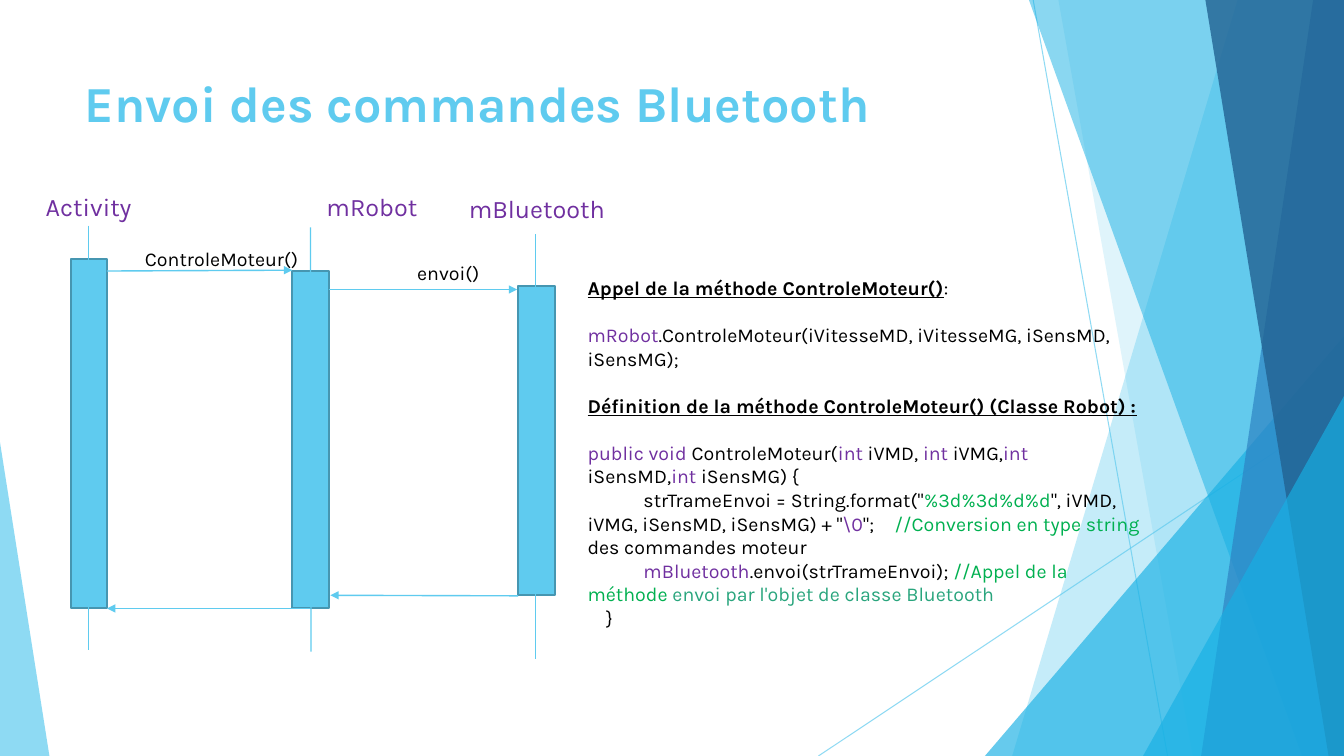
from dataclasses import dataclass

from lxml import etree
from pptx import Presentation
from pptx.dml.color import RGBColor
from pptx.enum import shapes, text
from pptx.oxml.ns import qn
from pptx.util import Pt


@dataclass(frozen=True)
class Theme:
    font: str = "Karla"
    sky: str = "5FCBEF"
    cyan: str = "17B0E4"
    blue: str = "2E83C3"
    navy: str = "226292"
    bar_edge: str = "4696B1"
    black: str = "000000"
    purple: str = "7030A0"
    green: str = "00B050"
    teal: str = "29A57D"
    title_size: int = 36
    object_size: int = 18
    body_size: int = 14


theme = Theme()
WIDTH, HEIGHT = 960, 540


def paint(shape, fill, colour, opacity=100):
    """Give a fill of the shape a solid colour; opacity is in percent."""
    fill.solid()
    fill.fore_color.rgb = RGBColor.from_string(colour)
    if opacity < 100:
        colour_element = next(shape.element.iter(qn("a:srgbClr")))
        etree.SubElement(colour_element, qn("a:alpha"), val=str(opacity * 1000))


def add_run(paragraph, words, colour, size, **extra):
    run = paragraph.add_run()
    run.text = words
    run.font.color.rgb = RGBColor.from_string(colour)
    for name, value in {"name": theme.font, "size": Pt(size), **extra}.items():
        setattr(run.font, name, value)


presentation = Presentation()
presentation.slide_width, presentation.slide_height = Pt(WIDTH), Pt(HEIGHT)
slide = presentation.slides.add_slide(presentation.slide_layouts[5])

# Title
title = slide.shapes.title
title.left, title.top, title.width, title.height = Pt(53.3), Pt(48), Pt(676.8), Pt(103.7)
title_format = {
    "word_wrap": True,
    "auto_size": text.MSO_AUTO_SIZE.NONE,
    "vertical_anchor": text.MSO_ANCHOR.TOP,
}
for name, value in title_format.items():
    setattr(title.text_frame, name, value)
title_paragraph = title.text_frame.paragraphs[0]
title_paragraph.alignment = text.PP_ALIGN.LEFT
add_run(title_paragraph, "Envoi des commandes Bluetooth", theme.sky, theme.title_size, bold=True)

# Activation bars of the sequence diagram: left, top, bottom
BAR_WIDTH = 26
bars = []
for left, top, bottom in [(50.4, 185, 434.6), (208.8, 193.5, 434.6), (370.2, 204, 425)]:
    bar = slide.shapes.add_shape(
        shapes.MSO_SHAPE.RECTANGLE, Pt(left), Pt(top), Pt(BAR_WIDTH), Pt(bottom - top))
    bar.shadow.inherit = False
    paint(bar, bar.fill, theme.sky)
    paint(bar, bar.line.fill, theme.bar_edge)
    bar.line.width = Pt(1.5)
    bars.append(bar)

# Lines: start, end, width, opacity, arrow, bar whose bottom the line leaves
lines = [
    ((738, 0), (834, HEIGHT), 0.75, 70, False, None),
    ((WIDTH, 290), (584.6, HEIGHT), 0.75, 70, False, None),
    ((76.4, 193.6), (208.8, 193), 1, 100, True, None),
    ((221.8, 434.6), (76.4, 434.6), 1, 100, True, bars[1]),
    ((234.8, 206.8), (369.4, 206.8), 1, 100, True, None),
    ((370.2, 425.6), (236, 425.2), 1, 100, True, None),
    ((63.4, 161.2), (63.4, 464.4), 1, 100, False, None),
    ((221.8, 162.5), (222.2, 465.4), 1, 100, False, None),
    ((382.4, 167.5), (382.4, 470.4), 1, 100, False, None),
]
for start, end, width, opacity, arrow, source_bar in lines:
    line = slide.shapes.add_connector(
        shapes.MSO_CONNECTOR.STRAIGHT, *(Pt(value) for value in start + end))
    if source_bar is not None:
        line.begin_connect(source_bar, 2)
    paint(line, line.line.fill, theme.sky, opacity)
    line.line.width = Pt(width)
    properties = line.element.spPr
    if arrow:
        etree.SubElement(properties.find(qn("a:ln")), qn("a:tailEnd"), type="triangle")
    etree.SubElement(properties, qn("a:effectLst"))

# Facets: a band has the x of its left edge at top and bottom and runs to the
# right side of the slide; a triangle has left, top, width and apex position
facets = [
    ((884, 723), theme.sky, 36),
    ((756, 852), theme.sky, 20),
    ((703.5, 240, 256.5, 1), theme.cyan, 66),
    ((735, 930), theme.cyan, 50),
    ((938, 858), theme.blue, 70),
    ((861, 949), theme.navy, 80),
    ((816.5, 283, 143.5, 1), theme.cyan, 66),
    ((0, 316, 35.3, 0), theme.sky, 70),
]
for outline, colour, opacity in facets:
    if len(outline) == 2:
        top_x, bottom_x = outline
        builder = slide.shapes.build_freeform(top_x, 0, scale=Pt(1))
        builder.add_line_segments([(WIDTH, 0), (WIDTH, HEIGHT), (bottom_x, HEIGHT)], close=True)
        facet = builder.convert_to_shape()
    else:
        left, top, width, apex = outline
        facet = slide.shapes.add_shape(
            shapes.MSO_SHAPE.ISOSCELES_TRIANGLE, Pt(left), Pt(top), Pt(width), Pt(HEIGHT - top))
        facet.adjustments[0] = apex
    facet.shadow.inherit = False
    paint(facet, facet.fill, colour, opacity)
    facet.line.fill.background()

# Text boxes: frame, alignment, size, paragraphs as (space before, runs)
heading = {"bold": True, "underline": True}
plain = {}
GAP = 16.8
code = [
    (0, [("Appel de la méthode ControleMoteur()", theme.black, heading),
         (":", theme.black, plain)]),
    (GAP, [("mRobot", theme.purple, plain),
           (".ControleMoteur(iVitesseMD, iVitesseMG, iSensMD, iSensMG);", theme.black, plain)]),
    (GAP, [("Définition de la méthode ControleMoteur() (Classe Robot) :", theme.black, heading)]),
    (GAP, [("public void ", theme.purple, plain),
           ("ControleMoteur(", theme.black, plain),
           ("int ", theme.purple, plain),
           ("iVMD, ", theme.black, plain),
           ("int ", theme.purple, plain),
           ("iVMG,", theme.black, plain),
           ("int ", theme.purple, plain),
           ("iSensMD,", theme.black, plain),
           ("int ", theme.purple, plain),
           ("iSensMG) {", theme.black, plain)]),
    (0, [('            strTrameEnvoi = String.format("', theme.black, plain),
         ("%3d%3d%d%d", theme.green, plain),
         ('", iVMD, iVMG, iSensMD, iSensMG) + "', theme.black, plain),
         (r"\0", theme.purple, plain),
         ('";\t ', theme.black, plain),
         ("//Conversion en type string ", theme.green, plain),
         ("des commandes moteur", theme.black, plain)]),
    (0, [("            mBluetooth", theme.purple, plain),
         (".envoi(strTrameEnvoi); ", theme.black, plain),
         ("//Appel de la méthode ", theme.green, plain),
         ("envoi par l'objet de classe Bluetooth", theme.teal, plain)]),
    (0, [("    }", theme.black, plain)]),
]
left_aligned, centred = text.PP_ALIGN.LEFT, text.PP_ALIGN.CENTER
boxes = [
    ((96.5, 172.8, 126.7, 24.2), left_aligned, theme.body_size,
     [(0, [("ControleMoteur()", theme.black, plain)])]),
    ((290.9, 182.9, 126.7, 24.2), left_aligned, theme.body_size,
     [(0, [("envoi()", theme.black, plain)])]),
    ((412.6, 193.7, 409, 262), left_aligned, theme.body_size, code),
    ((12.2, 133.2, 102.2, 29), centred, theme.object_size,
     [(0, [("Activity", theme.purple, plain)])]),
    ((200.9, 133.2, 129.6, 29), centred, theme.object_size,
     [(0, [("mRobot", theme.purple, plain)])]),
    ((319, 134.8, 128.9, 29), centred, theme.object_size,
     [(0, [("mBluetooth", theme.purple, plain)])]),
]
for frame, alignment, size, paragraphs in boxes:
    box = slide.shapes.add_textbox(*(Pt(value) for value in frame))
    box.text_frame.word_wrap = True
    for index, (space_before, runs) in enumerate(paragraphs):
        paragraph = box.text_frame.add_paragraph() if index else box.text_frame.paragraphs[0]
        paragraph.alignment = alignment
        if space_before:
            paragraph.space_before = Pt(space_before)
        for words, colour, extra in runs:
            add_run(paragraph, words, colour, size, **extra)

presentation.save("out.pptx")
